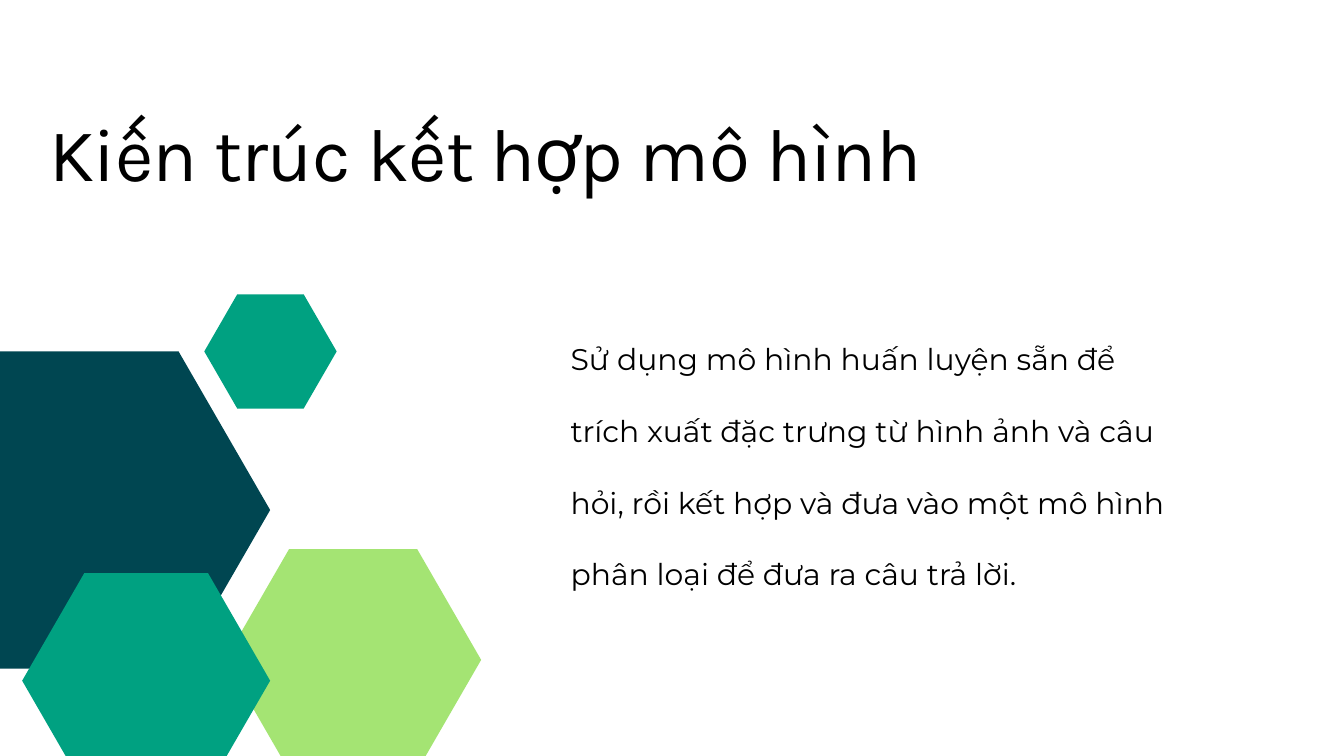
from pptx import Presentation
from pptx import util as u
from pptx.dml.color import RGBColor
from pptx.enum import shapes, text

BLACK = RGBColor(0x00, 0x00, 0x00)
NAVY = RGBColor(0x00, 0x46, 0x51)
LIME = RGBColor(0xA4, 0xE4, 0x73)
GREEN = RGBColor(0x00, 0xA1, 0x81)

REGULAR_CORNER = 0.28868

TITLE = "Kiến trúc kết hợp mô hình"
BODY = (
    "Sử dụng mô hình huấn luyện sẵn để trích xuất đặc trưng từ hình ảnh và câu hỏi, "
    "rồi kết hợp và đưa vào một mô hình phân loại để đưa ra câu trả lời."
)
HEXAGONS = [
    (-1.43, 5.23, 5.45, 4.72, NAVY),
    (3.35, 8.17, 3.81, 3.3, LIME),
    (3.04, 4.38, 1.97, 1.7, GREEN),
    (0.33, 8.53, 3.69, 3.2, GREEN),
]


def add_hexagon(page, left, top, width, height, color):
    """Add a regular, unoutlined hexagon."""
    hexagon = page.shapes.add_shape(
        shapes.MSO_SHAPE.HEXAGON,
        u.Inches(left), u.Inches(top), u.Inches(width), u.Inches(height),
    )
    hexagon.adjustments[0] = REGULAR_CORNER
    hexagon.shadow.inherit = False
    hexagon.fill.solid()
    hexagon.fill.fore_color.rgb = color
    hexagon.line.fill.background()


def add_text(page, left, top, width, height, words, font, size, line_spacing, tracking=0):
    """Add a one-paragraph text box, with tracking in points."""
    box = page.shapes.add_textbox(
        u.Inches(left), u.Inches(top), u.Inches(width), u.Inches(height)
    )
    frame = box.text_frame
    frame.word_wrap = True
    frame.auto_size = text.MSO_AUTO_SIZE.SHAPE_TO_FIT_TEXT
    frame.margin_left = frame.margin_top = frame.margin_right = frame.margin_bottom = 0
    para = frame.paragraphs[0]
    para.line_spacing = line_spacing
    para.font.name = font
    para.font.size = u.Pt(size)
    para.font.color.rgb = BLACK
    span = para.add_run()
    span.text = words
    if tracking:
        span._r.get_or_add_rPr().set("spc", str(round(tracking * 100)))


def main():
    """Build the slide and save it."""
    deck = Presentation()
    deck.slide_width = u.Inches(20)
    deck.slide_height = u.Inches(11.25)
    page = deck.slides.add_slide(deck.slide_layouts[6])

    add_text(page, 0.73, 1.51, 13.02, 1.37, TITLE, "Karla", 80, u.Pt(102), tracking=-0.8)
    for hexagon in HEXAGONS:
        add_hexagon(page, *hexagon)
    add_text(page, 8.49, 4.54, 9.05, 4.17, BODY, "Montserrat", 32, 2.0)

    deck.save("out.pptx")


if __name__ == "__main__":
    main()
